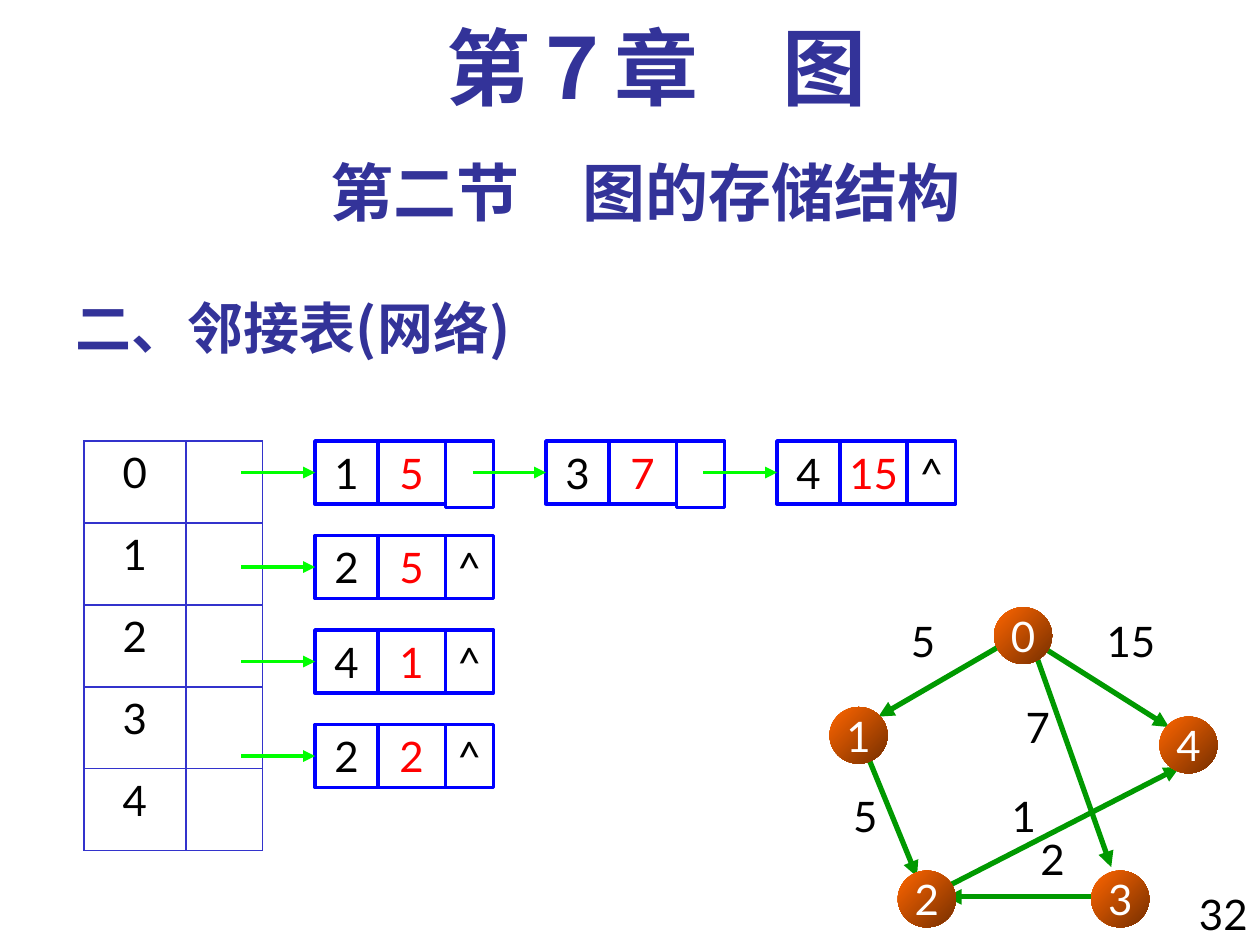
from collections import namedtuple
from dataclasses import dataclass

from lxml.etree import SubElement
from pptx import Presentation
from pptx.dml.color import RGBColor
from pptx.enum.shapes import MSO_CONNECTOR, MSO_SHAPE
from pptx.enum.text import MSO_ANCHOR, MSO_AUTO_SIZE, PP_ALIGN
from pptx.oxml.ns import qn
from pptx.util import Pt

Box = namedtuple("Box", "left top width height")


@dataclass(frozen=True)
class Theme:
    """Colours, fonts and type sizes of the slide."""
    heading: str = "333399"
    text: str = "000000"
    weight: str = "FF0000"
    node_text: str = "FFFFFF"
    node_light: str = "FF6600"
    node_dark: str = "762F00"
    edge: str = "009900"
    pointer: str = "00FF00"
    cell_line: str = "0000FF"
    table_line: str = "3333CC"
    body_font: str = "Lato"
    chapter_font: str = "Times New Roman"
    chinese_font: str = "Noto Sans CJK SC"
    chapter_size: int = 48
    section_size: int = 36
    title_size: int = 32
    body_size: int = 24


THEME = Theme()


def rgb(colour):
    """Return the colour object for a hex string."""
    return RGBColor.from_string(colour)


def write(frame, text, colour=THEME.text, size=THEME.body_size, font=THEME.body_font,
          bold=False, align=PP_ALIGN.CENTER):
    """Write one run into the first paragraph of a text frame."""
    paragraph = frame.paragraphs[0]
    paragraph.alignment = align
    run = paragraph.add_run()
    run.text = text
    run.font.size = Pt(size)
    run.font.name = font
    run.font.bold = bold
    run.font.color.rgb = rgb(colour)
    SubElement(run.font._element, qn("a:ea"), typeface=THEME.chinese_font)
    return paragraph


def set_insets(frame, horizontal=7.2, vertical=3.6):
    """Set the inner margins of a text frame."""
    frame.margin_left = frame.margin_right = Pt(horizontal)
    frame.margin_top = frame.margin_bottom = Pt(vertical)


def add_text(shapes, box, text, **style):
    """Add a wrapping text box and return its paragraph."""
    frame = shapes.add_textbox(*map(Pt, box)).text_frame
    frame.word_wrap = True
    set_insets(frame)
    return write(frame, text, **style)


def add_arrow(shapes, start, end, colour, width):
    """Add a straight arrow from start to end."""
    arrow = shapes.add_connector(MSO_CONNECTOR.STRAIGHT, *map(Pt, (*start, *end)))
    arrow.line.color.rgb = rgb(colour)
    arrow.line.width = Pt(width)
    SubElement(arrow.line._get_or_add_ln(), qn("a:tailEnd"), type="triangle")
    SubElement(arrow._element.spPr, qn("a:effectLst"))


def place_title(slide, box):
    """Move and format the title placeholder."""
    title = slide.shapes.title
    title.left, title.top, title.width, title.height = map(Pt, box)
    frame = title.text_frame
    frame.auto_size = MSO_AUTO_SIZE.NONE
    frame.vertical_anchor = MSO_ANCHOR.BOTTOM
    set_insets(frame)
    write(frame, "二、邻接表(网络)", THEME.heading, THEME.title_size,
          THEME.chinese_font, True, PP_ALIGN.LEFT)


def add_headings(slide, chapter_box, section_box):
    """Add the chapter and section headings."""
    add_text(slide.shapes, section_box, "第二节　图的存储结构", colour=THEME.heading,
             size=THEME.section_size, bold=True)
    chapter = add_text(slide.shapes, chapter_box, "第７章　图", colour=THEME.heading,
                       size=THEME.chapter_size, font=THEME.chapter_font, bold=True)
    chapter.line_spacing = 0.9


def set_borders(cell):
    """Give a table cell a thin line on all four sides."""
    properties = cell._tc.get_or_add_tcPr()
    for index, side in enumerate(("lnL", "lnR", "lnT", "lnB")):
        line = properties.makeelement(qn(f"a:{side}"), {"w": str(Pt(1.08))})
        fill = SubElement(line, qn("a:solidFill"))
        SubElement(fill, qn("a:srgbClr"), val=THEME.table_line)
        properties.insert(index, line)


def add_vertex_table(slide, box, vertices):
    """Add the table of vertices with an empty pointer column."""
    table = slide.shapes.add_table(len(vertices), 2, *map(Pt, box)).table
    table.first_row = table.horz_banding = False
    for column, share in zip(table.columns, (0.57, 0.43)):
        column.width = Pt(box.width * share)
    for row, vertex in zip(table.rows, vertices):
        row.height = Pt(box.height / len(vertices))
        for cell in row.cells:
            cell.fill.background()
            set_borders(cell)
        write(row.cells[0].text_frame, vertex)


def add_list_node(shapes, box, vertex, weight, is_last):
    """Add one linked-list node with the pointer that leads to it."""
    cells = (
        (0, 36, box.height, vertex, THEME.text),
        (36, 38.5, box.height, weight, THEME.weight),
        (74.5, box.width - 74.5, box.height if is_last else 38, "^" if is_last else "", THEME.text),
    )
    for offset, width, height, text, colour in cells:
        cell = shapes.add_shape(MSO_SHAPE.RECTANGLE, Pt(box.left + offset), Pt(box.top),
                                Pt(width), Pt(height))
        cell.shadow.inherit = False
        cell.fill.background()
        cell.line.color.rgb = rgb(THEME.cell_line)
        cell.line.width = Pt(2)
        if text:
            cell.text_frame.vertical_anchor = MSO_ANCHOR.TOP
            set_insets(cell.text_frame, 0)
            write(cell.text_frame, text, colour)
    middle = box.top + box.height / 2
    add_arrow(shapes, (box.left - 42, middle), (box.left, middle), THEME.pointer, 2.25)


def add_adjacency_lists(slide, box, lists):
    """Add a row of linked nodes for each vertex that has edges."""
    shapes = slide.shapes.add_group_shape().shapes
    for row, nodes in enumerate(lists):
        for column, (vertex, weight) in enumerate(nodes):
            node_box = Box(box.left + column * 132, box.top + row * 54, 102, 36)
            add_list_node(shapes, node_box, vertex, weight, column == len(nodes) - 1)


def add_graph(slide, box):
    """Add the weighted directed graph."""
    shapes = slide.shapes.add_group_shape().shapes
    nodes = {"1": (0, 57), "3": (149.5, 150.5), "2": (39, 150.5), "4": (188.5, 62.5), "0": (94, 0)}
    edges = (
        ((122, 23), (194, 68.5), "15", (139.5, 1), 65.5),
        ((22, 85.5), (50, 154), "5", (0, 101), 41),
        ((105.5, 17.5), (28, 62.5), "5", (33, 1), 41),
        ((116.5, 23), (161, 148.5), "7", (98.5, 50.5), 41),
        ((149.5, 165.5), (66.5, 165.5), "2", (107, 126), 41),
        ((66.5, 160), (200, 91.5), "1", (90.5, 101), 41),
    )

    def place(point):
        """Shift a point of the graph into its box."""
        return box.left + point[0], box.top + point[1]

    for start, end, *_ in edges:
        add_arrow(shapes, place(start), place(end), THEME.edge, 3)
    for name, corner in nodes.items():
        node = shapes.add_shape(MSO_SHAPE.OVAL, *map(Pt, (*place(corner), 33.2, 32.4)))
        node.shadow.inherit = False
        node.line.fill.background()
        node.fill.gradient()
        node.fill.gradient_angle = 315
        for stop, position, colour in zip(node.fill.gradient_stops, (0, 1),
                                          (THEME.node_light, THEME.node_dark)):
            stop.position = position
            stop.color.rgb = rgb(colour)
        node.text_frame.word_wrap = False
        node.text_frame.vertical_anchor = MSO_ANCHOR.MIDDLE
        set_insets(node.text_frame, 0)
        write(node.text_frame, name, THEME.node_text)
    for _, _, weight, corner, width in edges:
        add_text(shapes, Box(*place(corner), width, 36), weight)


def main():
    """Build the slide and save it."""
    presentation = Presentation()
    presentation.slide_width, presentation.slide_height = Pt(720), Pt(540)
    slide = presentation.slides.add_slide(presentation.slide_layouts[5])
    place_title(slide, Box(36, 156, 522, 54))
    add_text(slide.shapes, Box(672, 504, 48, 42.5), "32", align=PP_ALIGN.RIGHT)
    add_headings(slide, Box(48, 12, 654, 60), Box(36, 84, 666, 50.5))
    add_vertex_table(slide, Box(48, 252, 102, 234), "01234")
    add_graph(slide, Box(474, 347, 222, 183))
    add_adjacency_lists(slide, Box(180, 252, 366, 198), (
        (("1", "5"), ("3", "7"), ("4", "15")),
        (("2", "5"),),
        (("4", "1"),),
        (("2", "2"),),
    ))
    presentation.save("out.pptx")


if __name__ == "__main__":
    main()
